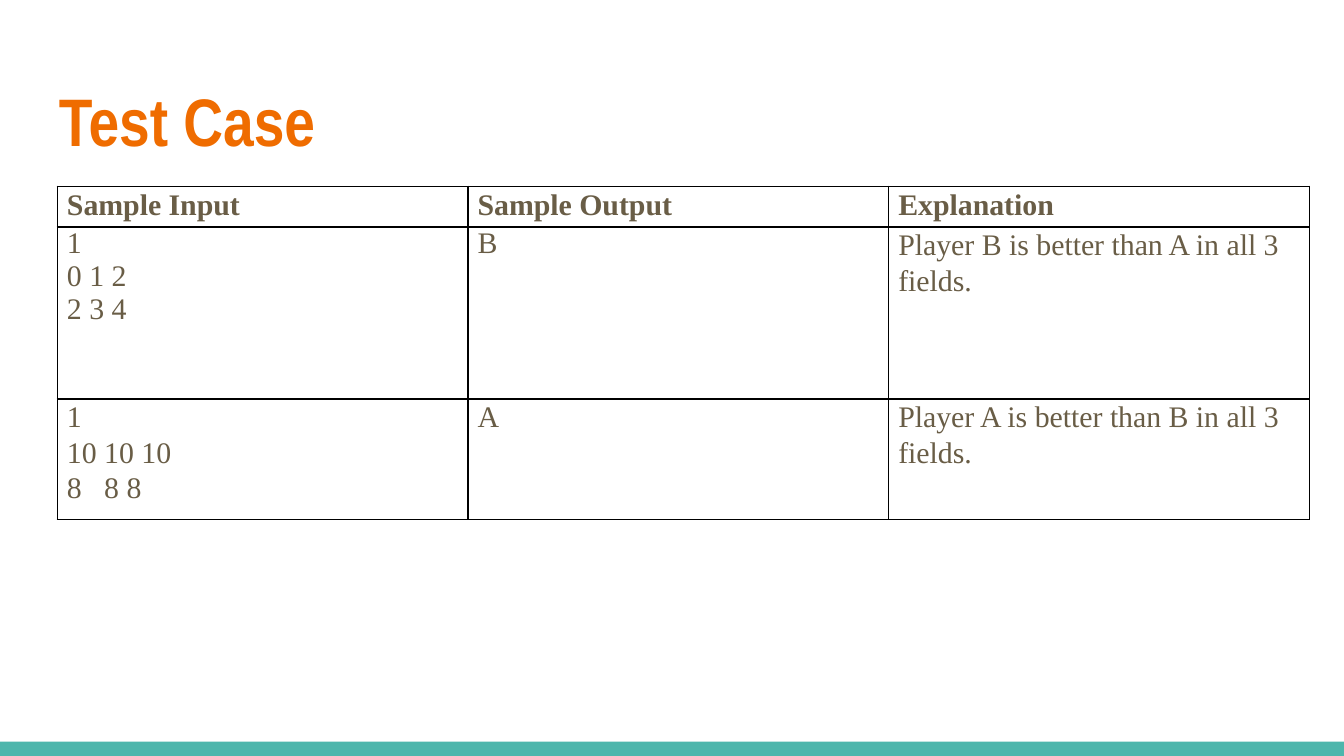
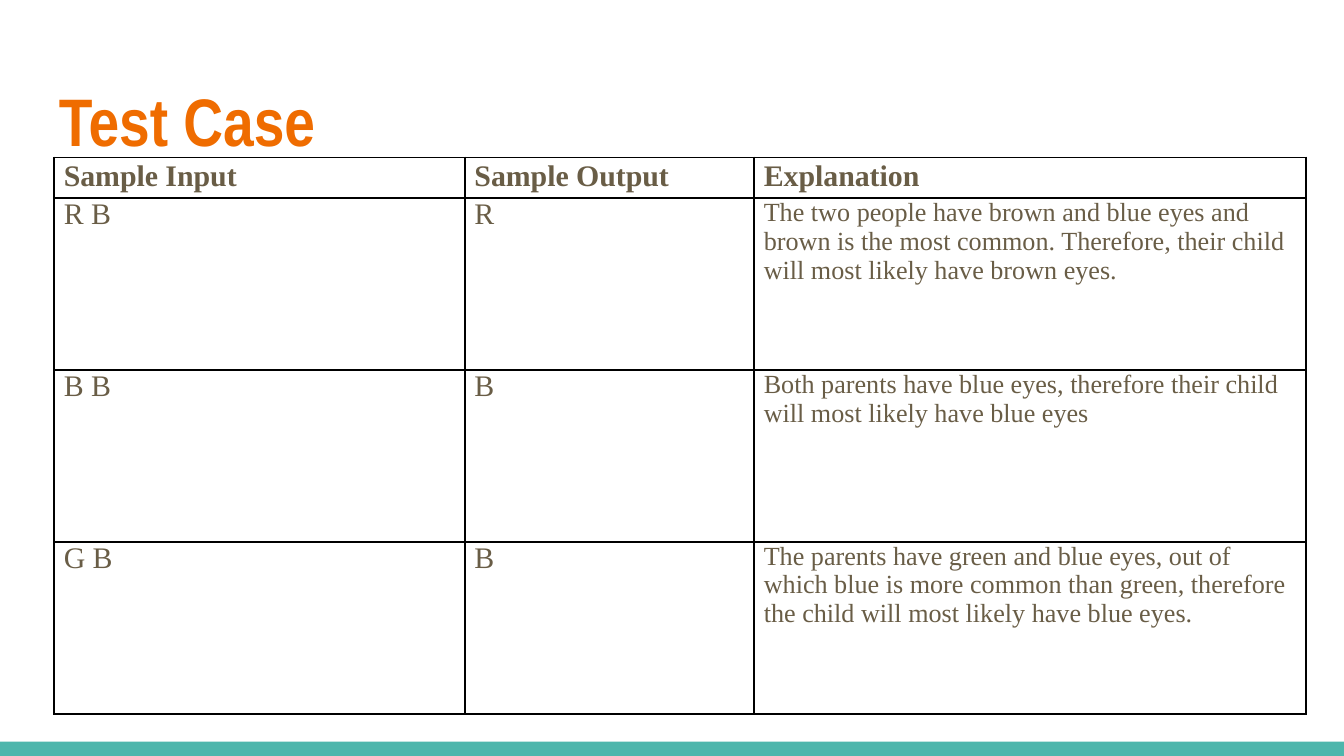
from lxml import etree
from pptx import Presentation
from pptx.dml.color import RGBColor
from pptx.enum.shapes import MSO_SHAPE
from pptx.enum.text import MSO_ANCHOR
from pptx.oxml.ns import qn
from pptx.util import Pt

RECTANGLE = MSO_SHAPE.RECTANGLE
TOP = MSO_ANCHOR.TOP

COLORS = {"title": "EF6C00", "body": "695D46", "band": "4DB6AC", "border": "000000"}
TITLE_FONT = {"name": "Arial Narrow", "size": Pt(36), "bold": True}
HEADER_FONT = {"name": "Times New Roman", "size": Pt(16), "bold": True}
BODY_FONT = {**HEADER_FONT, "bold": False}
SMALL_FONT = {**BODY_FONT, "size": Pt(14)}
LOOSE = 1.07

TITLE = "Test Case"
HEADERS = ("Sample Input", "Sample Output", "Explanation")

# Each row: height, line spacing per column (None is single), cell texts
TEST_CASES = [
    {
        "left": 30.7, "top": 99.9,
        "widths": (220, 225.4, 225.4),
        "explanation_font": BODY_FONT,
        "rows": [
            (92.1, (None, None, LOOSE),
             ("1\n0 1 2\n2 3 4", "B", "Player B is better than A in all 3 fields.")),
            (64.6, (LOOSE,) * 3,
             ("1\n10 10 10\n8   8 8", "A", "Player A is better than B in all 3 fields.")),
        ],
    },
    {
        "left": 29, "top": 84.4,
        "widths": (220, 155, 295.8),
        "explanation_font": SMALL_FONT,
        "rows": [
            (92.1, (None,) * 3,
             ("R B", "R", "The two people have brown and blue eyes and brown is the most "
              "common. Therefore, their child will most likely have brown eyes.")),
            (92.1, (None,) * 3,
             ("B B", "B", "Both parents have blue eyes, therefore their child will most "
              "likely have blue eyes")),
            (92.1, (None,) * 3,
             ("G B", "B", "The parents have green and blue eyes, out of which blue is more "
              "common than green, therefore the child will most likely have blue eyes.")),
        ],
    },
]
HEADER_ROW = (21.7, (LOOSE,) * 3, HEADERS)

SLIDE_WIDTH, SLIDE_HEIGHT = 720, 405
BAND_HEIGHT = 7.7
TITLE_BOX = (24.5, 35.3, 671, 55.4)
TITLE_INSET = 7.2
CELL_MARGINS = {"margin_left": Pt(5.2), "margin_right": Pt(5.2),
                "margin_top": 0, "margin_bottom": 0}


def color(key):
    return RGBColor.from_string(COLORS[key])


def write(frame, text, font, color_key, spacing=None):
    """Put each line of text in its own paragraph."""
    for index, line in enumerate(text.split("\n")):
        paragraph = frame.add_paragraph() if index else frame.paragraphs[0]
        if spacing:
            paragraph.line_spacing = spacing
        run = paragraph.add_run()
        run.text = line
        for attribute, value in font.items():
            setattr(run.font, attribute, value)
        run.font.color.rgb = color(color_key)


def add_borders(cell):
    properties = cell._tc.get_or_add_tcPr()
    for position, side in enumerate(("lnL", "lnR", "lnT", "lnB")):
        line = etree.Element(qn(f"a:{side}"), w=str(Pt(1)))
        fill = etree.SubElement(line, qn("a:solidFill"))
        etree.SubElement(fill, qn("a:srgbClr"), val=COLORS["border"])
        properties.insert(position, line)


def add_band(slide):
    band = slide.shapes.add_shape(RECTANGLE, 0, Pt(SLIDE_HEIGHT - BAND_HEIGHT),
                                  Pt(SLIDE_WIDTH), Pt(BAND_HEIGHT))
    band.shadow.inherit = False
    band.fill.solid()
    band.fill.fore_color.rgb = color("band")
    band.line.fill.background()


def add_title(slide):
    frame = slide.shapes.add_textbox(*map(Pt, TITLE_BOX)).text_frame
    frame.word_wrap = True
    frame.vertical_anchor = TOP
    for side in ("left", "right", "top", "bottom"):
        setattr(frame, f"margin_{side}", Pt(TITLE_INSET))
    write(frame, TITLE, TITLE_FONT, "title")


def add_cases(slide, cases):
    rows = [HEADER_ROW, *cases["rows"]]
    widths = cases["widths"]
    total_height = sum(height for height, _, _ in rows)
    frame = slide.shapes.add_table(len(rows), len(widths), Pt(cases["left"]), Pt(cases["top"]),
                                   Pt(sum(widths)), Pt(total_height))
    table = frame.table
    table.first_row = table.horz_banding = False
    for column, width in zip(table.columns, widths):
        column.width = Pt(width)

    body_fonts = (BODY_FONT, BODY_FONT, cases["explanation_font"])
    for index, (height, spacings, texts) in enumerate(rows):
        table.rows[index].height = Pt(height)
        fonts = body_fonts if index else (HEADER_FONT,) * len(widths)
        for cell, text, font, spacing in zip(table.rows[index].cells, texts, fonts, spacings):
            for attribute, value in CELL_MARGINS.items():
                setattr(cell, attribute, value)
            cell.vertical_anchor = TOP
            cell.fill.background()
            add_borders(cell)
            write(cell.text_frame, text, font, "body", spacing)


def main():
    deck = Presentation()
    deck.slide_width, deck.slide_height = Pt(SLIDE_WIDTH), Pt(SLIDE_HEIGHT)
    blank = deck.slide_layouts[6]
    for cases in TEST_CASES:
        slide = deck.slides.add_slide(blank)
        add_band(slide)
        add_title(slide)
        add_cases(slide, cases)
    deck.save("out.pptx")


if __name__ == "__main__":
    main()
